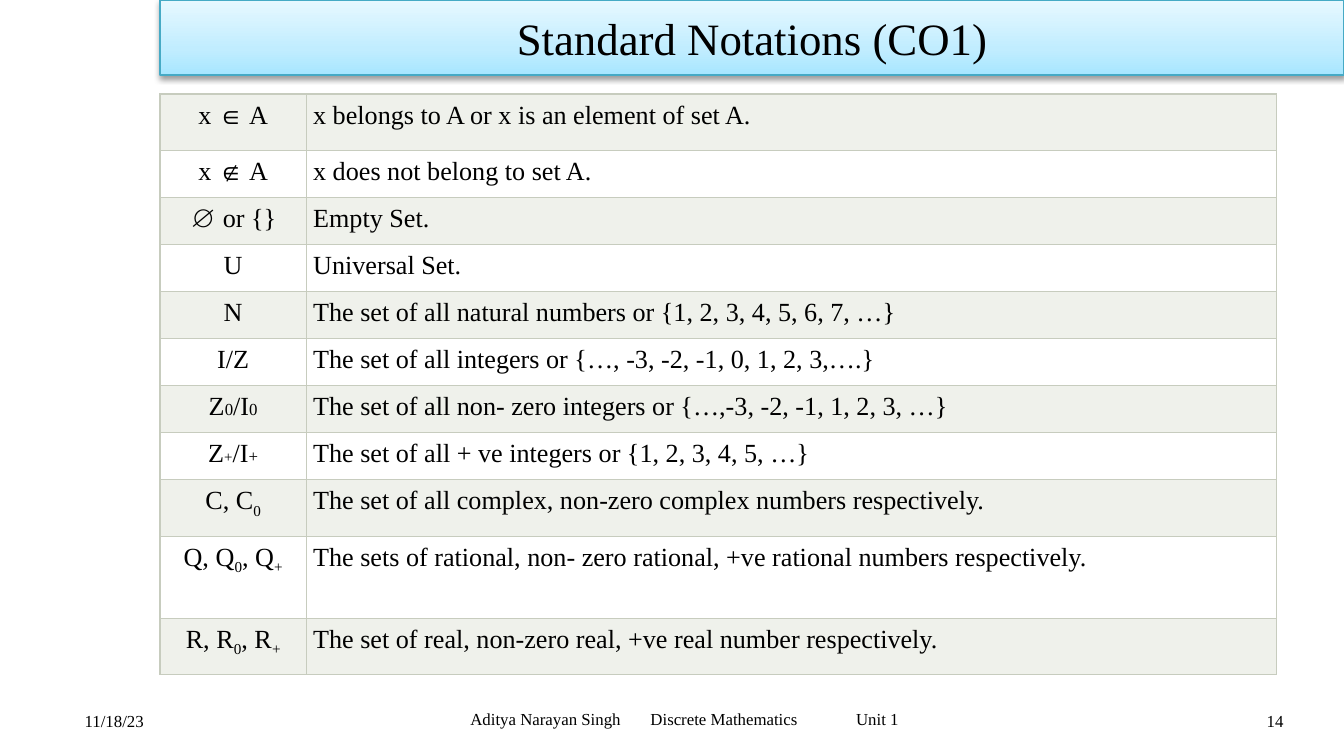
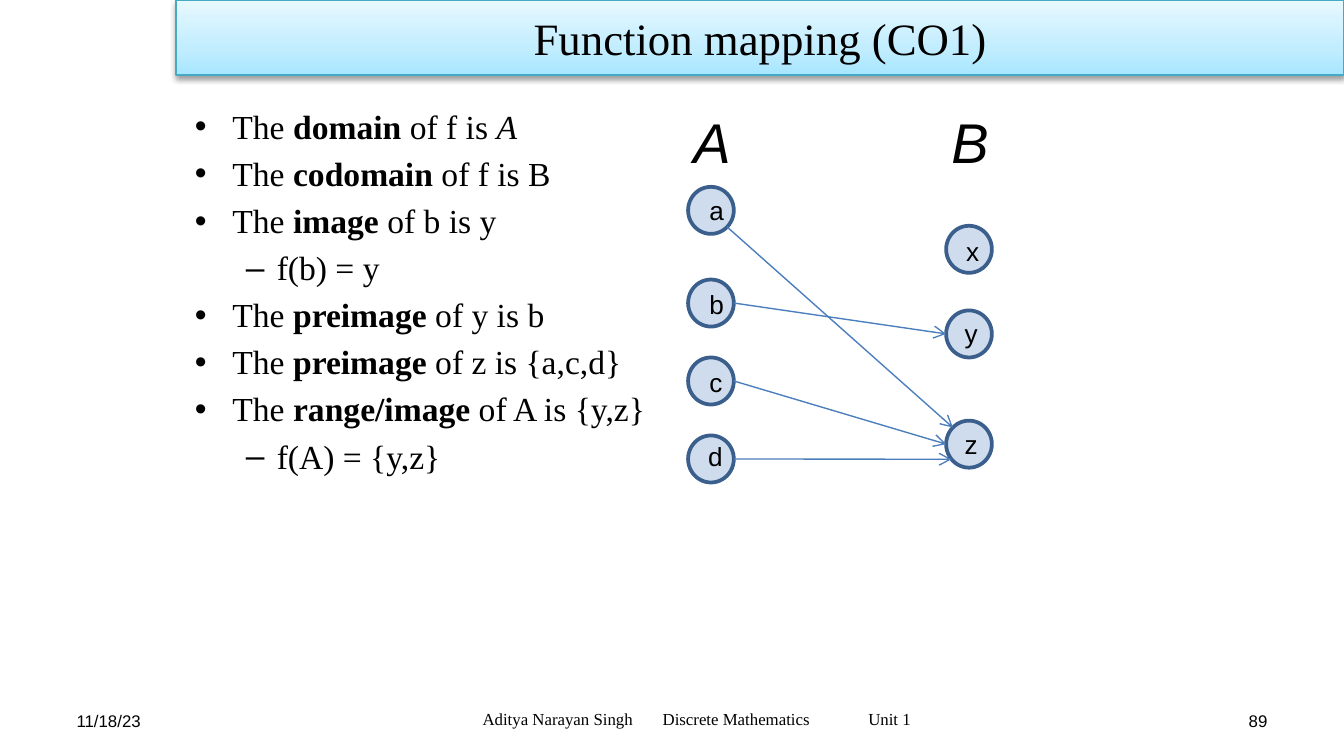
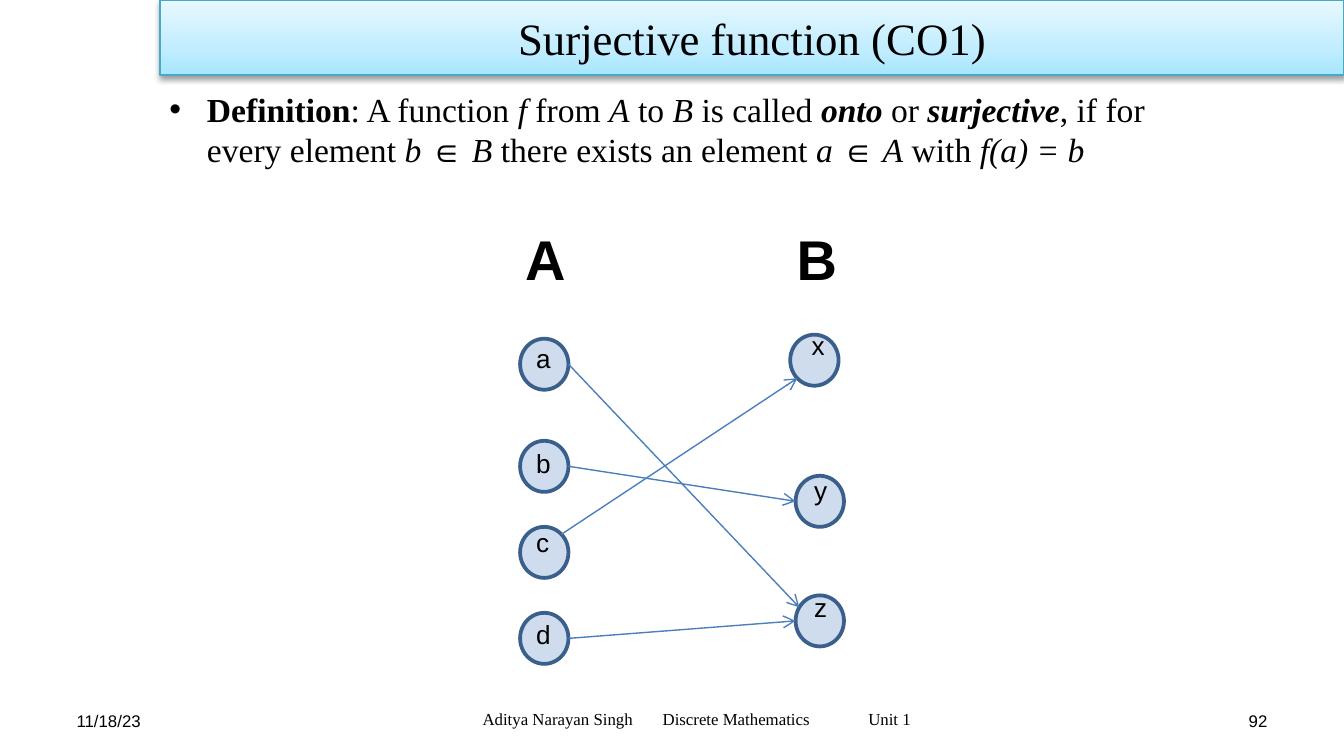
from dataclasses import dataclass
from math import cos, radians, sin

from lxml.etree import SubElement
from pptx import Presentation
from pptx.dml.color import RGBColor
from pptx.enum.shapes import MSO_CONNECTOR, MSO_SHAPE
from pptx.enum.text import MSO_ANCHOR, PP_ALIGN
from pptx.oxml.ns import qn
from pptx.util import Inches, Pt


@dataclass(frozen=True)
class Theme:
    serif: str = "Times New Roman"
    sans: str = "Arial"
    ink: str = "000000"
    band_stops: tuple = ((0, "A7E6FF"), (35, "C1EDFF"), (100, "E7F8FF"))
    band_line: str = "46AAC5"
    row_fills: tuple = ("EFF1EB", "FFFFFF")
    cell_border: str = "C7CCBE"
    node_fill: str = "4F81BD"
    node_line: str = "3A5F8C"
    arrow: str = "4B7EBC"
    title_size: int = 24
    body_size: int = 18
    table_size: int = 14
    node_size: int = 14
    set_size: int = 30
    footer_size: int = 9


THEME = Theme()
WIDTH = 10
HEIGHT = WIDTH * 9 / 16
BAND_HEIGHT = 0.56
FOOTER_TOP, FOOTER_HEIGHT = 5.2, 0.3
INSETS = (0.07, 0.04, 0.07, 0.04)
DATE = "11/18/23"
FOOTER = "Aditya Narayan Singh\tDiscrete Mathematics\tUnit 1"
FOOTER_TEXT_WIDTH, FOOTER_TABS = 3.18, (1.34, 2.87)

# A run is a string or (text, style): b bold, i italic, _ subscript, a number is a size.
NOTATIONS = [
    (0.42, ["x ∈ A"], "x belongs to A or x is an element of set A."),
    (0.35, ["x ∉ A"], "x does not belong to set A."),
    (0.35, ["∅ or {}"], "Empty Set."),
    (0.35, ["U"], "Universal Set."),
    (0.35, ["N"], "The set of all natural numbers or {1, 2, 3, 4, 5, 6, 7, …}"),
    (0.35, ["I/Z"], "The set of all integers or {…, -3, -2, -1, 0, 1, 2, 3,….}"),
    (0.35, ["Z", ("0", 9), "/I", ("0", 9)],
     "The set of all non- zero integers or {…,-3, -2, -1, 1, 2, 3, …}"),
    (0.35, ["Z", ("+", 8), "/I", ("+", 9)],
     "The set of all + ve integers or {1, 2, 3, 4, 5, …}"),
    (0.42, ["C, C", ("0", "_")],
     "The set of all complex, non-zero complex numbers respectively."),
    (0.61, ["Q, Q", ("0", "_"), ", Q", ("+", "_")],
     "The sets of rational, non- zero rational, +ve rational numbers respectively."),
    (0.42, ["R, R", ("0", "_"), ", R", ("+", "_")],
     "The set of real, non-zero real, +ve real number respectively."),
]
NOTATION_COLUMNS = (1.09, 7.22)

# (level, runs)
MAPPING_POINTS = [
    (0, ["The ", ("domain", "b"), " of f is ", ("A", "i")]),
    (0, ["The ", ("codomain", "b"), " of f is B"]),
    (0, ["The ", ("image", "b"), " of b is y"]),
    (1, ["f(b) = y"]),
    (0, ["The ", ("preimage", "b"), " of y is b"]),
    (0, ["The ", ("preimage", "b"), " of z is {a,c,d}"]),
    (0, ["The ", ("range/image", "b"), " of A is {y,z}"]),
    (1, ["f(A) = {y,z}"]),
]
SURJECTIVE_POINTS = [
    (0, [("Definition", "b"), ": A function ", ("f", "i"), " from ", ("A", "i"),
         " to ", ("B", "i"), " is called ", ("onto", "bi"), " or ",
         ("surjective", "bi"), ", if for every element ", ("b ", "i"), "∈",
         (" B", "i"), " there exists an element ", ("a ", "i"), "∈",
         (" A", "i"), " with ", ("f(a) = b", "i")]),
]
BULLETS = (("•", 0.28, 0.28), ("–", 0.61, 0.23))

# Nodes: name -> circle left, circle top, label left, label top.
# Arrows: from node, angle, to node, angle; angles run clockwise from the right.
MAPPING = {
    "circle": (0.34, 0.35),
    "label": (0.23, 0.34),
    "sets": {"A": 5.06, "B": 6.98}, "sets_top": 0.75, "sets_width": 0.51, "sets_style": "i",
    "nodes": {
        "a": (5.12, 1.39, 5.18, 1.4), "b": (5.12, 2.08, 5.18, 2.1),
        "c": (5.12, 2.66, 5.18, 2.68), "d": (5.12, 3.24, 5.17, 3.23),
        "x": (7.04, 1.68, 7.09, 1.7), "y": (7.04, 2.31, 7.08, 2.31),
        "z": (7.04, 3.13, 7.08, 3.14),
    },
    "arrows": [("b", 0, "y", 180), ("a", 45, "z", 225),
               ("c", 0, "z", 180), ("d", 0, "z", 140)],
}
SURJECTION = {
    "circle": (0.36, 0.38),
    "label": (0.24, 0.34),
    "sets": {"A": 3.81, "B": 5.83}, "sets_top": 1.62, "sets_width": 0.54, "sets_style": "b",
    "nodes": {
        "a": (3.87, 2.52, 3.89, 2.5), "b": (3.87, 3.28, 3.89, 3.28),
        "c": (3.87, 3.92, 3.89, 3.87), "d": (3.87, 4.56, 3.89, 4.55),
        "x": (5.88, 2.49, 5.94, 2.4), "y": (5.92, 3.54, 5.96, 3.48),
        "z": (5.92, 4.43, 5.96, 4.35),
    },
    "arrows": [("b", 0, "y", 180), ("a", 0, "z", 212),
               ("c", -45, "x", 135), ("d", 0, "z", 180)],
}


def color(value):
    return RGBColor.from_string(value)


def box(*lengths):
    return [Inches(length) for length in lengths]


def add_runs(paragraph, runs, size, font):
    for item in runs:
        text, style = (item, "") if isinstance(item, str) else item
        run = paragraph.add_run()
        run.text = text
        run.font.name = font
        run.font.color.rgb = color(THEME.ink)
        run.font.size = Pt(style if isinstance(style, int) else size)
        marks = str(style)
        run.font.bold = "b" in marks
        run.font.italic = "i" in marks
        if "_" in marks:
            run._r.get_or_add_rPr().set("baseline", "-25000")


def set_insets(frame, insets):
    frame.margin_left, frame.margin_top, frame.margin_right, frame.margin_bottom = box(*insets)


def add_text(shapes, place, runs, size, font, align=PP_ALIGN.LEFT,
             anchor=MSO_ANCHOR.TOP, insets=(0.1, 0.05, 0.1, 0.05)):
    frame = shapes.add_textbox(*box(*place)).text_frame
    frame.word_wrap = True
    frame.vertical_anchor = anchor
    set_insets(frame, insets)
    paragraph = frame.paragraphs[0]
    paragraph.alignment = align
    add_runs(paragraph, runs, size, font)
    return paragraph


def add_title_band(slide, title, left):
    band = slide.shapes.add_shape(MSO_SHAPE.RECTANGLE, *box(left, 0, WIDTH - left, BAND_HEIGHT))
    band.fill.gradient()
    band.fill.gradient_angle = 90
    stops = band._element.spPr.find(".//" + qn("a:gsLst"))
    for stop in list(stops):
        stops.remove(stop)
    for position, value in THEME.band_stops:
        stop = SubElement(stops, qn("a:gs"), pos=str(position * 1000))
        SubElement(stop, qn("a:srgbClr"), val=value)
    band.line.color.rgb = color(THEME.band_line)
    band.line.width = Pt(0.75)
    effects = SubElement(band._element.spPr, qn("a:effectLst"))
    shadow = SubElement(effects, qn("a:outerShdw"), blurRad=str(Pt(3.1)), dist=str(Pt(1.6)),
                        dir="5400000", rotWithShape="0")
    tint = SubElement(shadow, qn("a:srgbClr"), val=THEME.ink)
    SubElement(tint, qn("a:alpha"), val="38000")
    frame = band.text_frame
    frame.vertical_anchor = MSO_ANCHOR.MIDDLE
    set_insets(frame, INSETS)
    frame.paragraphs[0].alignment = PP_ALIGN.CENTER
    add_runs(frame.paragraphs[0], [title], THEME.title_size, THEME.serif)


def add_footer(slide, number, date_span, footer_span, number_span, font):
    """Each span is the left and the width of one footer part."""
    def add_part(span, text, part_font, align=PP_ALIGN.LEFT, insets=INSETS, drop=0.0):
        left, width = span
        return add_text(slide.shapes, (left, FOOTER_TOP + drop, width, FOOTER_HEIGHT), [text],
                        THEME.footer_size, part_font, align, MSO_ANCHOR.MIDDLE, insets)

    add_part(date_span, DATE, font, drop=0.01)
    add_part(number_span, number, font, PP_ALIGN.RIGHT, drop=0.01)
    indent = (footer_span[1] - FOOTER_TEXT_WIDTH) / 2
    paragraph = add_part(footer_span, FOOTER, THEME.serif, insets=(indent, 0.04, 0, 0.04))
    tabs = SubElement(paragraph._p.get_or_add_pPr(), qn("a:tabLst"))
    for position in FOOTER_TABS:
        SubElement(tabs, qn("a:tab"), pos=str(Inches(position)), algn="l")


def add_bullets(slide, place, points):
    frame = slide.shapes.add_textbox(*box(*place)).text_frame
    frame.word_wrap = True
    set_insets(frame, INSETS)
    for index, (level, runs) in enumerate(points):
        paragraph = frame.add_paragraph() if index else frame.paragraphs[0]
        paragraph.level = level
        paragraph.space_before = Pt(3.6)
        mark, margin, hanging = BULLETS[level]
        properties = paragraph._p.get_or_add_pPr()
        properties.set("marL", str(Inches(margin)))
        properties.set("indent", str(-Inches(hanging)))
        SubElement(properties, qn("a:buFont"), typeface=THEME.sans)
        SubElement(properties, qn("a:buChar"), char=mark)
        add_runs(paragraph, runs, THEME.body_size, THEME.serif)


def style_cell(cell, fill):
    properties = cell._tc.get_or_add_tcPr()
    for side in ("lnL", "lnR", "lnT", "lnB"):
        line = SubElement(properties, qn("a:" + side), w=str(Pt(0.75)))
        solid = SubElement(line, qn("a:solidFill"))
        SubElement(solid, qn("a:srgbClr"), val=THEME.cell_border)
    cell.fill.solid()
    cell.fill.fore_color.rgb = color(fill)
    set_insets(cell, (0.05,) * 4)


def add_notation_table(slide, left, top):
    heights = [height for height, _, _ in NOTATIONS]
    place = box(left, top, sum(NOTATION_COLUMNS), sum(heights))
    table = slide.shapes.add_table(len(NOTATIONS), len(NOTATION_COLUMNS), *place).table
    table.first_row = table.horz_banding = False
    for column, width in zip(table.columns, NOTATION_COLUMNS):
        column.width = Inches(width)
    for index, (height, symbol, meaning) in enumerate(NOTATIONS):
        table.rows[index].height = Inches(height)
        for column, (runs, align) in enumerate(((symbol, PP_ALIGN.CENTER),
                                                ([meaning], PP_ALIGN.LEFT))):
            cell = table.cell(index, column)
            style_cell(cell, THEME.row_fills[index % 2])
            paragraph = cell.text_frame.paragraphs[0]
            paragraph.alignment = align
            add_runs(paragraph, runs, THEME.table_size, THEME.serif)


def add_node(shapes, left, top, size):
    node = shapes.add_shape(MSO_SHAPE.FLOWCHART_CONNECTOR, *box(left, top, *size))
    node.shadow.inherit = False
    node.fill.solid()
    node.fill.fore_color.rgb = color(THEME.node_fill)
    tint = node._element.spPr.find(qn("a:solidFill")).find(qn("a:srgbClr"))
    SubElement(tint, qn("a:alpha"), val="27000")
    node.line.color.rgb = color(THEME.node_line)
    node.line.width = Pt(2)


def add_arrow(shapes, start, end):
    arrow = shapes.add_connector(MSO_CONNECTOR.STRAIGHT, *box(*start, *end))
    arrow.line.color.rgb = color(THEME.arrow)
    arrow.line.width = Pt(0.75)
    SubElement(arrow.line._get_or_add_ln(), qn("a:tailEnd"), type="arrow")
    SubElement(arrow._element.spPr, qn("a:effectLst"))


def add_mapping_diagram(slide, diagram):
    shapes = slide.shapes.add_group_shape().shapes
    nodes, (width, height) = diagram["nodes"], diagram["circle"]

    def rim_point(name, angle):
        left, top = nodes[name][:2]
        turn = radians(angle)
        return left + width / 2 * (1 + cos(turn)), top + height / 2 * (1 + sin(turn))

    for left, top, _, _ in nodes.values():
        add_node(shapes, left, top, diagram["circle"])
    for name, left in diagram["sets"].items():
        add_text(shapes, (left, diagram["sets_top"], diagram["sets_width"], 0.61),
                 [(name, diagram["sets_style"])], THEME.set_size, THEME.sans)
    for name, (_, _, left, top) in nodes.items():
        add_text(shapes, (left, top, *diagram["label"]), [name], THEME.node_size, THEME.sans)
    for source, source_angle, target, target_angle in diagram["arrows"]:
        add_arrow(shapes, rim_point(source, source_angle), rim_point(target, target_angle))


def main():
    presentation = Presentation()
    presentation.slide_width, presentation.slide_height = box(WIDTH, HEIGHT)
    blank = presentation.slide_layouts[6]
    wide_footer = ((0.56, 1.38), (2.56, 5.06), (8, 1.62), THEME.serif)
    plain_footer = ((0.5, 2.33), (3.12, 4.12), (7.17, 2.33), THEME.sans)

    def add_slide(title, band_left, number, footer):
        slide = presentation.slides.add_slide(blank)
        add_title_band(slide, title, band_left)
        add_footer(slide, number, *footer)
        return slide

    notations = add_slide("Standard Notations (CO1)", 1.19, "14", wide_footer)
    add_notation_table(notations, 1.19, 0.7)

    mapping = add_slide("Function mapping (CO1)", 1.31, "89", plain_footer)
    add_mapping_diagram(mapping, MAPPING)
    add_bullets(mapping, (1.38, 0.75, 4.47, 3.8), MAPPING_POINTS)

    surjective = add_slide("Surjective function (CO1)", 1.19, "92", plain_footer)
    add_bullets(surjective, (1.19, 0.62, 7.88, 4.31), SURJECTIVE_POINTS)
    add_mapping_diagram(surjective, SURJECTION)

    presentation.save("out.pptx")


if __name__ == "__main__":
    main()
